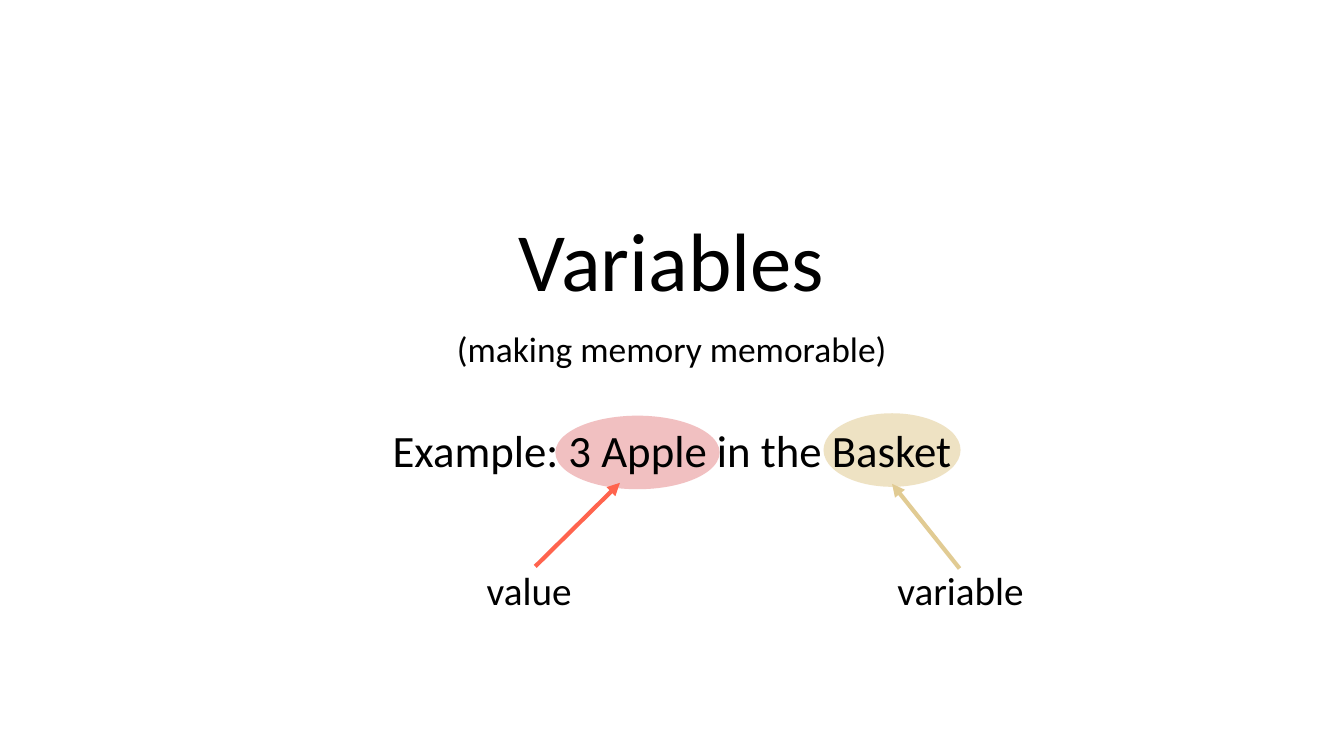
"""Build the Variables slide, with an annotated example of a value and a variable."""
from dataclasses import dataclass

from lxml import etree
from pptx import Presentation
from pptx.dml.color import RGBColor
from pptx.enum.shapes import MSO_CONNECTOR, MSO_SHAPE
from pptx.enum.text import MSO_ANCHOR, MSO_AUTO_SIZE, PP_ALIGN
from pptx.oxml.ns import qn
from pptx.slide import Slide
from pptx.util import Pt

OVAL = MSO_SHAPE.OVAL
STRAIGHT = MSO_CONNECTOR.STRAIGHT
TOP, MIDDLE, BOTTOM = MSO_ANCHOR.TOP, MSO_ANCHOR.MIDDLE, MSO_ANCHOR.BOTTOM
CENTER = PP_ALIGN.CENTER
FIT_SHAPE, NO_FIT = MSO_AUTO_SIZE.SHAPE_TO_FIT_TEXT, MSO_AUTO_SIZE.NONE

FONT = "Calibri"
INSET = 4.32
OPACITY = 55
COLORS = {"text": "000000", "apple": "E78D8F", "value": "FF644E", "basket": "E1CB93"}


@dataclass(frozen=True)
class Highlight:
    left: float
    top: float
    width: float
    height: float
    color: str


@dataclass(frozen=True)
class Caption:
    text: str
    left: float
    top: float
    width: float
    height: float
    size: float
    anchor: MSO_ANCHOR = MIDDLE
    wrap: bool = False


@dataclass(frozen=True)
class Arrow:
    start: tuple[float, float]
    end: tuple[float, float]
    color: str


HIGHLIGHTS = [
    Highlight(396.72, 296.94, 117.36, 52.56, "apple"),
    Highlight(588.24, 295.2, 97.92, 52.56, "basket"),
]
CAPTIONS = [
    Caption("Variables", 93.6, 41.76, 772.56, 182.88, 59.1, BOTTOM, True),
    Caption("(making memory memorable)", 93.6, 229.3, 772.56, 62.64, 25.3, TOP, True),
    Caption("Example: 3 Apple in the Basket", 272.32, 297.6, 415.84, 46.8, 32),
    Caption("value", 341.44, 400.32, 73.12, 41.76, 28),
    Caption("variable", 634.48, 400.32, 103.36, 41.76, 28),
]
ARROWS = [
    Arrow((382.32, 404.64), (442.8, 344.88), "value"),
    Arrow((685.44, 406.08), (637.2, 345.6), "basket"),
]


def rgb(color: str) -> RGBColor:
    return RGBColor.from_string(COLORS[color])


def draw_highlight(slide: Slide, highlight: Highlight) -> None:
    oval = slide.shapes.add_shape(
        OVAL, Pt(highlight.left), Pt(highlight.top), Pt(highlight.width), Pt(highlight.height)
    )
    oval.shadow.inherit = False
    oval.line.fill.background()
    oval.fill.solid()
    oval.fill.fore_color.rgb = rgb(highlight.color)
    tint = oval.fill._xPr.find(qn("a:solidFill")).find(qn("a:srgbClr"))
    etree.SubElement(tint, qn("a:alpha"), val=str(OPACITY * 1000))


def draw_caption(slide: Slide, caption: Caption) -> None:
    box = slide.shapes.add_textbox(
        Pt(caption.left), Pt(caption.top), Pt(caption.width), Pt(caption.height)
    )
    frame = box.text_frame
    frame.word_wrap = caption.wrap
    frame.auto_size = NO_FIT if caption.wrap else FIT_SHAPE
    frame.vertical_anchor = caption.anchor
    frame.margin_left = frame.margin_right = Pt(INSET)
    frame.margin_top = frame.margin_bottom = Pt(INSET)
    paragraph = frame.paragraphs[0]
    paragraph.alignment = CENTER
    run = paragraph.add_run()
    run.text = caption.text
    run.font.name = FONT
    run.font.size = Pt(caption.size)
    run.font.color.rgb = rgb("text")


def draw_arrow(slide: Slide, arrow: Arrow) -> None:
    (start_x, start_y), (end_x, end_y) = arrow.start, arrow.end
    connector = slide.shapes.add_connector(
        STRAIGHT, Pt(start_x), Pt(start_y), Pt(end_x), Pt(end_y)
    )
    connector.line.width = Pt(3)
    connector.line.color.rgb = rgb(arrow.color)
    etree.SubElement(connector.line._get_or_add_ln(), qn("a:tailEnd"), type="triangle")
    etree.SubElement(connector._element.spPr, qn("a:effectLst"))


def main() -> None:
    presentation = Presentation()
    presentation.slide_width, presentation.slide_height = Pt(960), Pt(540)
    slide = presentation.slides.add_slide(presentation.slide_layouts[6])
    for highlight in HIGHLIGHTS:
        draw_highlight(slide, highlight)
    for caption in CAPTIONS:
        draw_caption(slide, caption)
    for arrow in ARROWS:
        draw_arrow(slide, arrow)
    presentation.save("out.pptx")


if __name__ == "__main__":
    main()
